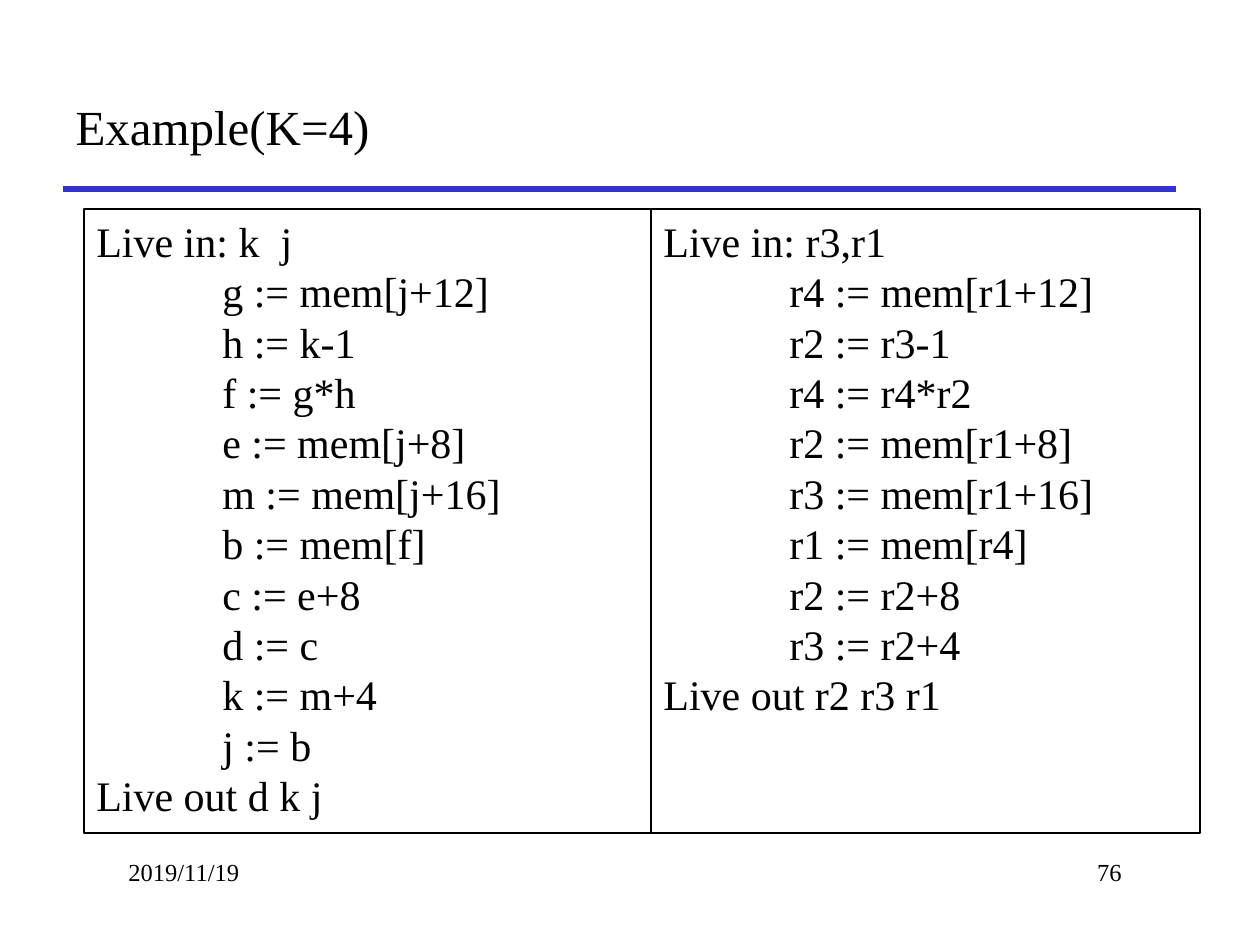
from lxml.etree import SubElement
from pptx import Presentation
from pptx.dml.color import RGBColor
from pptx.enum.shapes import MSO_CONNECTOR, MSO_SHAPE
from pptx.enum.text import MSO_ANCHOR, PP_ALIGN
from pptx.oxml.ns import qn
from pptx.util import Emu, Pt

PX_PER_INCH = 126
FONT = "Times New Roman"
COLORS = {"text": "000000", "rule": "3333CC", "border": "000000"}

BEFORE = """Live in: k  j
\tg := mem[j+12]
\th := k-1
\tf := g*h
\te := mem[j+8]
\tm := mem[j+16]
\tb := mem[f]
\tc := e+8
\td := c
\tk := m+4
\tj := b
Live out d k j"""

AFTER = """Live in: r3,r1
\tr4 := mem[r1+12]
\tr2 := r3-1
\tr4 := r4*r2
\tr2 := mem[r1+8]
\tr3 := mem[r1+16]
\tr1 := mem[r4]
\tr2 := r2+8
\tr3 := r2+4
Live out r2 r3 r1"""


def px(length):
    return Emu(round(length * 914400 / PX_PER_INCH))


def color(name):
    return RGBColor.from_string(COLORS[name])


def write_text(shape, text, size, align=PP_ALIGN.LEFT, anchor=MSO_ANCHOR.TOP,
               line_spacing=None, tab=None):
    frame = shape.text_frame
    frame.word_wrap = True
    frame.vertical_anchor = anchor
    for index, line in enumerate(text.split("\n")):
        paragraph = frame.paragraphs[0] if index == 0 else frame.add_paragraph()
        paragraph.alignment = align
        paragraph.space_before = Pt(0)
        if line_spacing:
            paragraph.line_spacing = Pt(line_spacing)
        if tab:
            tab_list = SubElement(paragraph._p.get_or_add_pPr(), qn("a:tabLst"))
            SubElement(tab_list, qn("a:tab"), pos=str(px(tab)), algn="l")
        run = paragraph.add_run()
        run.text = line
        run.font.name = FONT
        run.font.size = Pt(size)
        run.font.color.rgb = color("text")


class SlideBuilder:
    def __init__(self, presentation):
        self.slide = presentation.slides.add_slide(presentation.slide_layouts[5])

    def title(self, text, left, top, width, height):
        shape = self.slide.shapes.title
        shape.left, shape.top = px(left), px(top)
        shape.width, shape.height = px(width), px(height)
        write_text(shape, text, 28, anchor=MSO_ANCHOR.MIDDLE)

    def rule(self, left, right, top):
        connector = self.slide.shapes.add_connector(
            MSO_CONNECTOR.STRAIGHT, px(left), px(top), px(right), px(top))
        connector.line.color.rgb = color("rule")
        connector.line.width = Pt(3)
        SubElement(connector._element.spPr, qn("a:effectLst"))

    def code_box(self, text, left, top, width, height):
        shape = self.slide.shapes.add_shape(
            MSO_SHAPE.RECTANGLE, px(left), px(top), px(width), px(height))
        shape.shadow.inherit = False
        shape.fill.background()
        shape.line.color.rgb = color("border")
        shape.line.width = Pt(0.75)
        write_text(shape, text, 24, line_spacing=28.8, tab=PX_PER_INCH)

    def label(self, text, left, top, width, height, align=PP_ALIGN.LEFT):
        shape = self.slide.shapes.add_textbox(
            px(left), px(top), px(width), px(height))
        write_text(shape, text, 14, align=align)


def main():
    presentation = Presentation()
    presentation.slide_width, presentation.slide_height = px(1260), px(945)
    builder = SlideBuilder(presentation)
    builder.title("Example(K=4)", 63, 63, 1113, 126)
    builder.rule(63, 1176, 189)
    builder.code_box(AFTER, 651, 209, 549, 624)
    builder.label("2019/11/19", 116, 851, 262, 63)
    builder.label("76", 872, 851, 262, 63, PP_ALIGN.RIGHT)
    builder.code_box(BEFORE, 84, 209, 567, 624)
    presentation.save("out.pptx")


if __name__ == "__main__":
    main()
